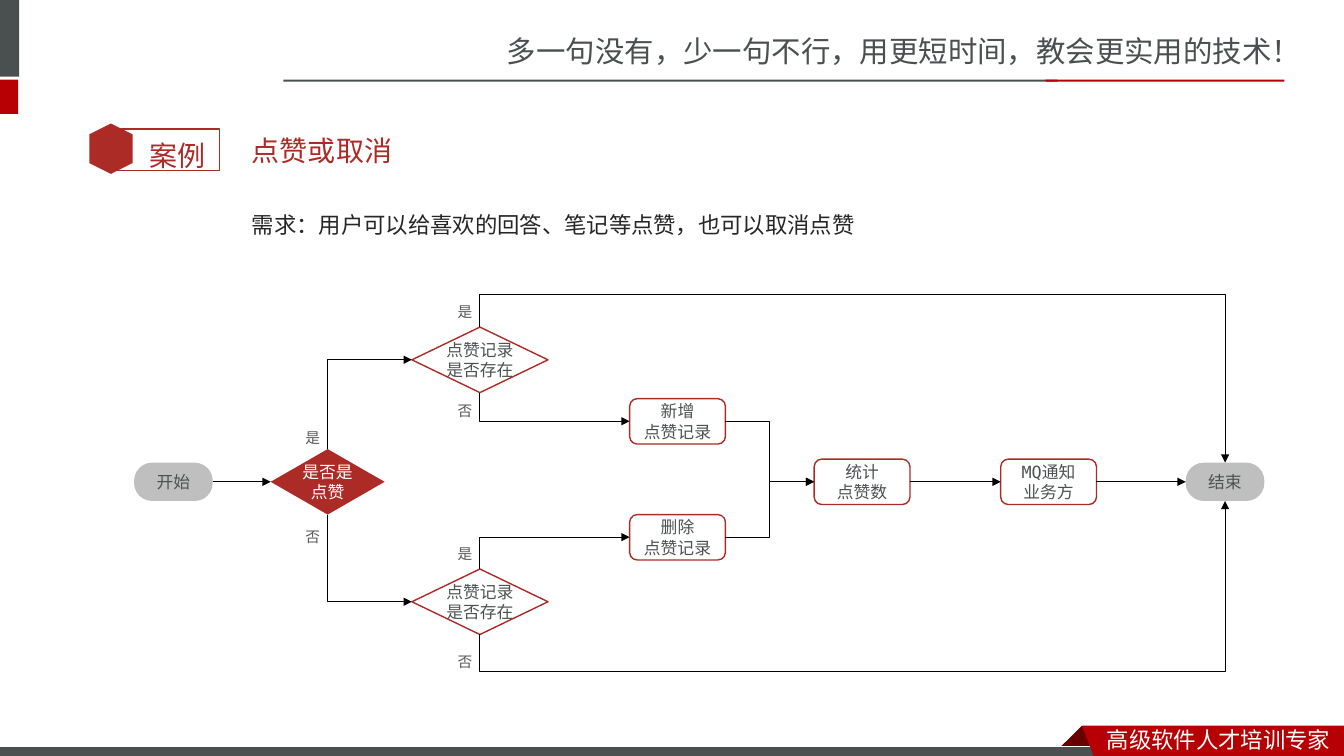
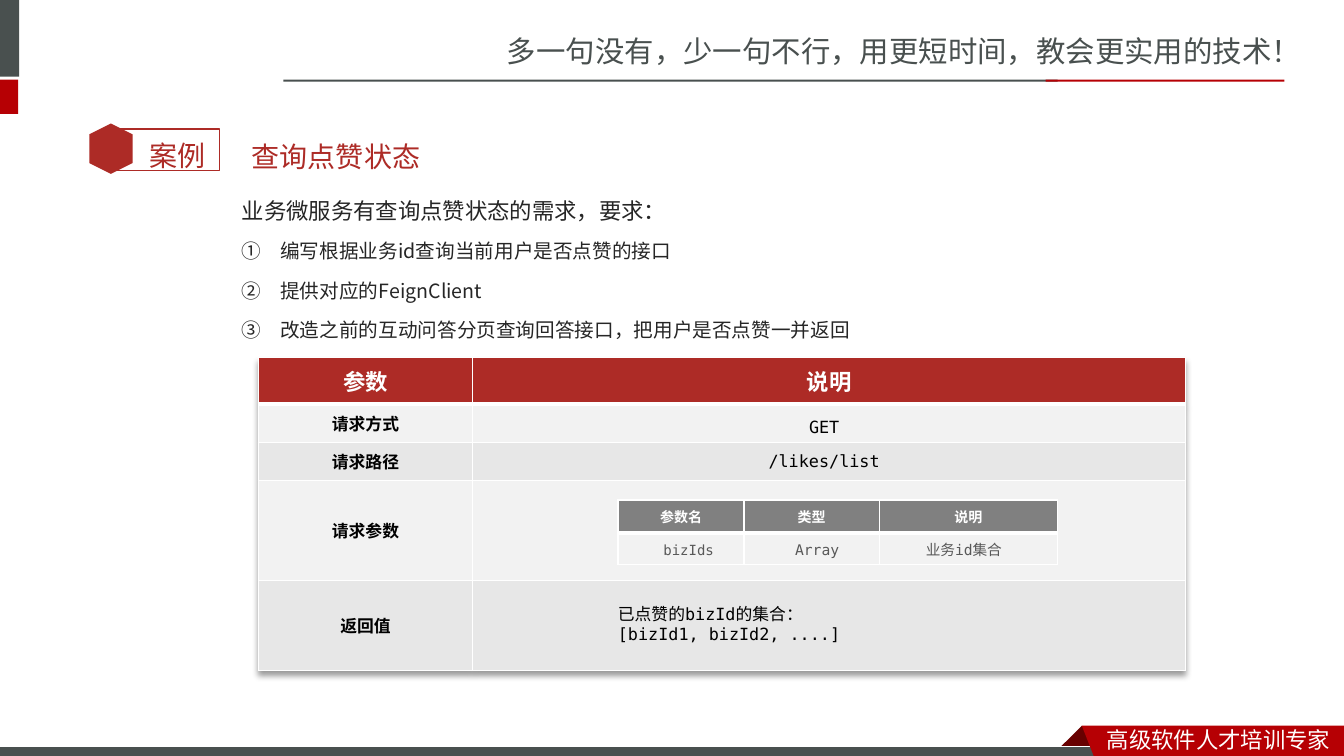
from lxml import etree
from pptx import Presentation, util as u
from pptx.dml.color import RGBColor
from pptx.enum import shapes, text
from pptx.oxml import parse_xml
from pptx.oxml.ns import nsdecls, qn

COLORS = {"slate": "49504F", "red": "B60004", "maroon": "680000", "brick": "AD2B26",
          "white": "FFFFFF", "black": "000000", "ink": "262626", "label": "4C5252",
          "muted": "595959", "silver": "BFBFBF", "gray": "808080",
          "light": "F2F2F2", "shade": "E7E7E7"}
SANS, MONO, TITLE, BODY, BADGE = ("Noto Sans CJK SC", "DejaVu Sans Mono", "Calibri",
                                  "Noto Sans CJK JP", "Lato")
SHAPE = shapes.MSO_SHAPE
MIDDLE, CENTER = text.MSO_ANCHOR.MIDDLE, text.PP_ALIGN.CENTER

SLOGAN = "多一句没有，少一句不行，用更短时间，教会更实用的技术！"
FOOTER = "高级软件人才培训专家"
BANDS = [((-0.06, 0, 0.25, 0.76), "slate"), ((-0.06, 0.79, 0.24, 0.34), "red"),
         ((2.81, 0.79, 7.68, 0.02), "slate"), ((10.37, 0.79, 2.37, 0.02), "red")]
# Ribbon outlines in hundredths of an inch
FOLD = [(1073, 720), (1095, 742), (1094, 743), (1052, 743), (1051, 742)]
RIBBON = [(1073, 720), (1333, 720), (1333, 754), (1086, 753)]

# Flow chart: column and row centres, then kinds of node
COLS = {"start": 1.72, "ask": 3.25, "record": 4.76, "write": 6.72,
        "count": 8.55, "notify": 10.4, "end": 12.15}
ROWS = {"yes": 3.57, "add": 4.18, "main": 4.78, "delete": 5.33, "no": 5.97}
KINDS = {  # preset, width, height, fill, line, font colour
    "pill": (SHAPE.ROUNDED_RECTANGLE, 0.78, 0.38, "silver", None, "label"),
    "choice": (SHAPE.DIAMOND, 1.13, 0.65, "brick", None, "white"),
    "check": (SHAPE.DIAMOND, 1.35, 0.65, None, "brick", "label"),
    "step": (SHAPE.ROUNDED_RECTANGLE, 0.95, 0.45, None, "brick", "label")}
NODES = {  # kind, column, row, text
    "start": ("pill", "start", "main", "开始"),
    "ask": ("choice", "ask", "main", "是否是点赞"),
    "has_yes": ("check", "record", "yes", "点赞记录是否存在"),
    "has_no": ("check", "record", "no", "点赞记录是否存在"),
    "add": ("step", "write", "add", "新增\n点赞记录"),
    "delete": ("step", "write", "delete", "删除\n点赞记录"),
    "count": ("step", "count", "main", "统计\n点赞数"),
    "notify": ("step", "notify", "main", "MQ通知\n业务方"),
    "end": ("pill", "end", "main", "结束")}
TOP, LEFT, BOTTOM, RIGHT = range(4)
STRAIGHT = [("start", "ask"), ("count", "notify"), ("notify", "end")]
MERGES = [("add", "count"), ("delete", "count")]
TURNS = [  # from, side, to, side, depth of a detour beyond the start
    ("ask", TOP, "has_yes", LEFT, None), ("ask", BOTTOM, "has_no", LEFT, None),
    ("has_yes", BOTTOM, "add", LEFT, None), ("has_no", TOP, "delete", LEFT, None),
    ("has_yes", TOP, "end", TOP, 0.32), ("has_no", BOTTOM, "end", BOTTOM, 0.37)]
BRANCH_LABELS = [  # node, word, distance of the label's top from the node's centre
    ("ask", "是", -0.58), ("ask", "否", 0.41), ("has_yes", "是", -0.61),
    ("has_yes", "否", 0.37), ("has_no", "否", 0.46), ("has_no", "是", -0.61)]

NEED = "需求：用户可以给喜欢的回答、笔记等点赞，也可以取消点赞"
TASKS = ["业务微服务有查询点赞状态的需求，要求：", "编写根据业务id查询当前用户是否点赞的接口",
         "提供对应的FeignClient", "改造之前的互动问答分页查询回答接口，把用户是否点赞一并返回"]
API_ROWS = [("参数", "说明"), ("请求方式", ""), ("请求路径", ""), ("请求参数", ""), ("返回值", "")]
PARAM_ROWS = [("参数名", "类型", "说明"), ("", "", "")]
API_VALUES = [((7.21, 4.09, 1.93, 0.3), "GET"), ((6.46, 4.42, 3.43, 0.3), "/likes/list")]
PARAM_VALUES = [((6.25, 5.32, 1.16, 0.27), "bizIds", 10), ((7.4, 5.31, 1.41, 0.29), "Array", 10.5),
                ((8.81, 5.31, 1.5, 0.29), "业务id集合", 10.5)]
RESULT = "已点赞的bizId的集合：\n[bizId1, bizId2, ....]"


def rgb(name):
    """Return the named colour."""
    return RGBColor.from_string(COLORS[name])


def box(at):
    """Turn inches into lengths."""
    return [u.Inches(v) for v in at]


def paint(sp, fill=None, line=None, width=1):
    """Set fill and outline and drop the shadow."""
    sp.shadow.inherit = False
    if fill:
        sp.fill.solid()
        sp.fill.fore_color.rgb = rgb(fill)
    else:
        sp.fill.background()
    if line:
        sp.line.color.rgb = rgb(line)
        sp.line.width = u.Pt(width)
    else:
        sp.line.fill.background()
    return sp


def style(p, size, color, font, bold=None):
    """Format every run of a paragraph, in Latin and East Asian script."""
    for r in p.runs:
        r.font.size, r.font.name, r.font.bold = u.Pt(size), font, bold
        r.font.color.rgb = rgb(color)
        ea = etree.SubElement(r._r.get_or_add_rPr(), qn("a:ea"))
        ea.set("typeface", SANS if font == MONO else font)


def write(sp, words, size, color, font=MONO, align=None, spacing=None, before=None):
    """Fill a shape with styled paragraphs."""
    tf = sp.text_frame
    tf.text = words
    for p in tf.paragraphs:
        p.alignment, p.line_spacing = align, spacing
        if before:
            p.space_before = u.Pt(before)
        style(p, size, color, font)
    return tf


def label(s, at, words, size, color, font=MONO, wrap=True, anchor=None, **layout):
    """Add a text box."""
    tf = write(s.shapes.add_textbox(*box(at)), words, size, color, font, **layout)
    tf.word_wrap, tf.vertical_anchor = wrap, anchor
    return tf


def block(s, preset, at, fill=None, line=None, width=1):
    """Add a preset shape."""
    return paint(s.shapes.add_shape(preset, *box(at)), fill, line, width)


def outline(s, points, fill):
    """Add a closed polygon."""
    pen = s.shapes.build_freeform(*points[0], scale=u.Inches(0.01))
    pen.add_line_segments(points[1:], close=True)
    paint(pen.convert_to_shape(), fill)


def new_slide(prs):
    """Add a slide with the shared bands, slogan, ribbon and badge."""
    s = prs.slides.add_slide(prs.slide_layouts[6])
    label(s, (4.93, 0.28, 8.41, 0.47), SLOGAN, 21, "slate", SANS)
    for at, fill in BANDS:
        block(s, SHAPE.RECTANGLE, at, fill)
    outline(s, FOLD, "maroon")
    block(s, SHAPE.RECTANGLE, (-0.01, 7.41, 11, 0.12), "slate", "white", 0.75)
    outline(s, RIBBON, "red")
    label(s, (10.88, 7.15, 2.45, 0.37), FOOTER, 16, "white", SANS)
    block(s, SHAPE.RECTANGLE, (1.09, 1.28, 1.09, 0.41), line="brick")
    block(s, SHAPE.HEXAGON, (0.85, 1.26, 0.5, 0.43), "brick").rotation = 90
    label(s, (1.38, 1.16, 0.85, 0.56), "案例", 20, "brick", BADGE, spacing=1.5)
    return s


def add_node(s, kind, col, row, words):
    """Add one flow chart node centred on its column and row."""
    preset, w, h, fill, line, color = KINDS[kind]
    sp = block(s, preset, (COLS[col] - w / 2, ROWS[row] - h / 2, w, h), fill, line)
    tf = write(sp, words, 12, color, align=CENTER)
    tf.vertical_anchor = MIDDLE
    if kind == "pill":
        sp.adjustments[0] = 0.47
    if preset == SHAPE.DIAMOND:
        tf.margin_left = tf.margin_right = 0
    return sp


def arrow(s, a, side_a, b, side_b, kind=shapes.MSO_CONNECTOR.ELBOW):
    """Join two nodes with an arrow."""
    c = s.shapes.add_connector(kind, 0, 0, 0, 0)
    c.begin_connect(a, side_a)
    c.end_connect(b, side_b)
    c.line.color.rgb, c.line.width = rgb("black"), u.Pt(0.75)
    etree.SubElement(c.line._get_or_add_ln(), qn("a:tailEnd")).set("type", "triangle")
    etree.SubElement(c._element.spPr, qn("a:effectLst"))
    return c


def turn(c, detour):
    """Make an elbow leave its start vertically; a detour first runs away from the end."""
    x, y, dx, dy = c.begin_x, c.begin_y, c.end_x - c.begin_x, c.end_y - c.begin_y
    span, xfrm = abs(dy), c._element.spPr.find(qn("a:xfrm"))
    c.left, c.top = int(x + (dx - span) / 2), int(y + (dy - dx) / 2)
    c.width, c.height = span, dx
    xfrm.set("rot", str(60000 * (270 if dy > 0 else 90)))
    xfrm.set("flipH", "1")
    xfrm.set("flipV", "0" if dy > 0 else "1")
    geom = c._element.spPr.find(qn("a:prstGeom"))
    if detour is None:
        geom.set("prst", "bentConnector2")
        return
    guide = etree.SubElement(geom.get_or_add_avLst(), qn("a:gd"))
    guide.set("name", "adj1")
    guide.set("fmla", f"val {-round(u.Inches(detour) / span * 100000)}")


def border(cell, widths):
    """Draw white borders: left, right, top, bottom, in points."""
    tc = cell._tc.get_or_add_tcPr()
    for i, (side, pt) in enumerate(zip("LRTB", widths)):
        tc.insert(i, parse_xml(
            f'<a:ln{side} {nsdecls("a")} w="{u.Pt(pt)}"><a:solidFill>'
            f'<a:srgbClr val="{COLORS["white"]}"/></a:solidFill></a:ln{side}>'))


def add_table(s, at, rows, widths, heights, head, sizes):
    """Add a table with a coloured head, banded rows and white borders."""
    table = s.shapes.add_table(len(rows), len(widths), *box(at)).table
    table.first_row = table.horz_banding = False
    for col, w in zip(table.columns, widths):
        col.width = u.Inches(w)
    for i, (row, h) in enumerate(zip(rows, heights)):
        table.rows[i].height = u.Inches(h)
        size = sizes[min(i, 1)]
        for j, words in enumerate(row):
            cell = table.cell(i, j)
            cell.text, cell.vertical_anchor = words, MIDDLE
            cell.fill.solid()
            cell.fill.fore_color.rgb = rgb(("light" if i % 2 else "shade") if i else head)
            border(cell, (1, 1, 3 if i == 1 else 1, 1 if i else 3))
            p = cell.text_frame.paragraphs[0]
            p.alignment = CENTER
            style(p, size, "black" if i else "white", MONO, True)
            if not words:
                etree.SubElement(p._p, qn("a:endParaRPr")).set("sz", str(size * 100))
    return table


def flow_slide(prs):
    """Build the slide on liking and unliking."""
    s = new_slide(prs)
    label(s, (2.4, 1.21, 10.08, 0.57), "点赞或取消", 20, "brick", TITLE, anchor=MIDDLE, before=4)
    label(s, (2.4, 1.91, 10.08, 0.71), NEED, 16, "ink", BODY, spacing=1.5, before=3.2)
    node = {name: add_node(s, *spec_row) for name, spec_row in NODES.items()}
    for a, b in STRAIGHT:
        arrow(s, node[a], RIGHT, node[b], LEFT, shapes.MSO_CONNECTOR.STRAIGHT)
    for a, b in MERGES:
        arrow(s, node[a], RIGHT, node[b], LEFT)
    for a, side_a, b, side_b, detour in TURNS:
        turn(arrow(s, node[a], side_a, node[b], side_b), detour)
    for name, word, dy in BRANCH_LABELS:
        _, col, row, _ = NODES[name]
        label(s, (COLS[col] - 0.32, ROWS[row] + dy, 0.35, 0.28), word, 10.5, "muted", wrap=False)


def query_slide(prs):
    """Build the slide on querying the like status."""
    s = new_slide(prs)
    label(s, (2.4, 1.03, 6.53, 0.7), "查询点赞状态", 20, "brick", TITLE,
          anchor=MIDDLE, spacing=2.0, before=4)
    tf = label(s, (2.4, 1.77, 10.08, 0.71), "\n".join(TASKS), 16, "ink", BODY,
               spacing=1.5, before=3.2)
    tf.margin_left = tf.margin_right = 0
    for p in tf.paragraphs[1:]:
        p.runs[0].font.size, p.space_before = u.Pt(14), u.Pt(2.8)
        pPr = p._p.get_or_add_pPr()
        pPr.set("marL", str(u.Inches(0.38)))
        pPr.set("indent", str(-u.Inches(0.38)))
        etree.SubElement(pPr, qn("a:buAutoNum")).set("type", "circleNumDbPlain")
    table = add_table(s, (2.56, 3.55, 9.2, 3.11), API_ROWS, (2.13, 7.07),
                      (0.46, 0.38, 0.38, 0.99, 0.89), "brick", (16, 12))
    table._tbl.tblPr.insert(0, parse_xml(
        f'<a:effectLst {nsdecls("a")}><a:outerShdw blurRad="50800" dist="38100" dir="5400000">'
        f'<a:srgbClr val="{COLORS["black"]}"><a:alpha val="40000"/></a:srgbClr>'
        '</a:outerShdw></a:effectLst>'))
    for at, words in API_VALUES:
        label(s, at, words, 12, "black", align=CENTER)
    add_table(s, (6.13, 4.96, 4.36, 0.65), PARAM_ROWS, (1.25, 1.34, 1.77),
              (0.33, 0.31), "gray", (10, 10))
    for at, words, size in PARAM_VALUES:
        label(s, at, words, size, "muted", align=CENTER, anchor=MIDDLE)
    label(s, (6.03, 5.94, 5.41, 0.5), RESULT, 12, "black")


prs = Presentation()
prs.slide_width, prs.slide_height = u.Inches(13.33), u.Inches(7.5)
flow_slide(prs)
query_slide(prs)
prs.save("out.pptx")
